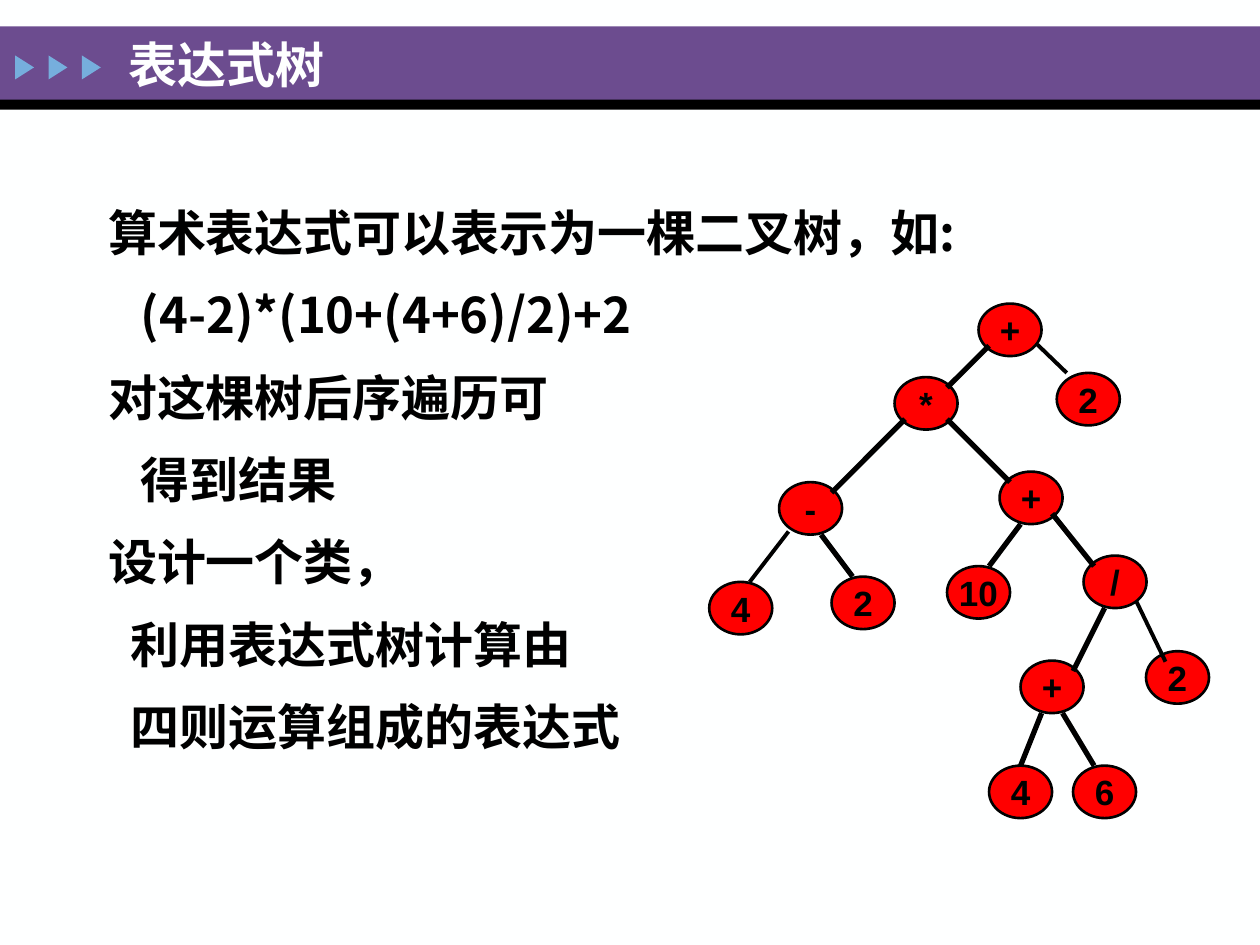
from pptx import Presentation
from pptx.dml.color import RGBColor
from pptx.enum.shapes import MSO_CONNECTOR, MSO_SHAPE
from pptx.enum.text import MSO_ANCHOR, PP_ALIGN
from pptx.oxml.ns import qn
from pptx.util import Inches, Pt
from lxml.etree import SubElement

PURPLE = RGBColor(0x6C, 0x4C, 0x8F)
BLUE = RGBColor(0x76, 0xAE, 0xDD)
RED = RGBColor(0xFF, 0x00, 0x00)
BLACK = RGBColor(0x00, 0x00, 0x00)
WHITE = RGBColor(0xFE, 0xFF, 0xFF)
CJK_FONT = "Noto Sans CJK SC"

BODY_LINES = [
    ("算术表达式可以表示为一棵二叉树，如:", 0.59),
    ("(4-2)*(10+(4+6)/2)+2", 0.85),
    ("对这棵树后序遍历可", 0.59),
    ("得到结果", 0.85),
    ("设计一个类，", 0.59),
    ("利用表达式树计算由", 0.77),
    ("四则运算组成的表达式", 0.77),
]
NODES = [
    ("+", 93, 29), ("*", 85, 36), ("+", 95, 45), ("/", 103, 53),
    ("2", 79, 55), ("10", 90, 54), ("+", 97, 63), ("6", 102, 73),
    ("4", 94, 73), ("-", 74, 46), ("4", 67.35, 55.5), ("2", 100.45, 35.6),
    ("2", 108.95, 62.1),
]
THICK_EDGES = [
    (94, 33, 90, 37), (86, 40, 79, 47), (90, 40, 96, 46),
    (100, 49, 104, 54), (97, 50, 94, 54), (78, 51, 81, 55),
    (105, 58, 102, 64), (99, 68, 97, 73), (101, 68, 104, 73),
]
THIN_EDGES = [
    (74.9, 50.7, 71.2, 55.5), (98.6, 32.9, 101.4, 35.6),
    (108, 57.3, 110.8, 63.1),
]


class TreeSlide:
    """Draw a titled slide with a tree on a grid of twelve cells to the inch."""

    def __init__(self, presentation):
        self.slide = presentation.slides.add_slide(presentation.slide_layouts[5])
        self.shapes = self.slide.shapes
        background = self.slide.background.fill
        background.solid()
        background.fore_color.rgb = WHITE

    def cell(self, column, row):
        """Return the position of a tree grid point."""
        return Inches((column + 0.2) / 12), Inches((row - 0.08) / 12)

    def add_run(self, paragraph, text, size, font, color):
        """Add one bold run with Latin and East Asian fonts."""
        run = paragraph.add_run()
        run.text = text
        run.font.size = Pt(size)
        run.font.bold = True
        run.font.color.rgb = color
        run.font.name = font
        SubElement(run._r.get_or_add_rPr(), qn("a:ea"), typeface=CJK_FONT)

    def add_filled(self, kind, left, top, width, height, color):
        """Add a flat preset shape without an outline."""
        shape = self.shapes.add_shape(kind, left, top, width, height)
        shape.shadow.inherit = False
        shape.fill.solid()
        shape.fill.fore_color.rgb = color
        shape.line.fill.background()
        return shape

    def add_header(self):
        """Add the title bar, its rule and its three arrows."""
        for top, height, color in ((0.21, 0.59, PURPLE), (0.79, 0.08, BLACK)):
            self.add_filled(MSO_SHAPE.RECTANGLE, 0, Inches(top), Inches(10),
                            Inches(height), color)
        for index in range(3):
            arrow = self.add_filled(
                MSO_SHAPE.ISOSCELES_TRIANGLE, Inches(0.1 + 0.265 * index),
                Inches(0.46), Inches(0.19), Inches(0.15), BLUE)
            arrow.rotation = 90

    def add_title(self, text):
        """Place the title placeholder over the bar."""
        title = self.shapes.title
        title.left, title.top = Inches(0.92), Inches(0.26)
        title.width, title.height = Inches(7), Inches(0.5)
        self.shapes._spTree.append(title._element)
        title.text_frame.vertical_anchor = MSO_ANCHOR.MIDDLE
        paragraph = title.text_frame.paragraphs[0]
        paragraph.alignment = PP_ALIGN.LEFT
        self.add_run(paragraph, text, 28, "Times New Roman", WHITE)

    def add_body(self, lines):
        """Add the text lines with their indents in inches."""
        box = self.shapes.add_textbox(Inches(0.17), Inches(1.37),
                                      Inches(8.5), Inches(5.32))
        frame = box.text_frame
        frame.word_wrap = True
        for index, (text, indent) in enumerate(lines):
            paragraph = frame.add_paragraph() if index else frame.paragraphs[0]
            paragraph.line_spacing = 1.4
            paragraph._p.get_or_add_pPr().set("marL", str(Inches(indent)))
            self.add_run(paragraph, text, 28, CJK_FONT, BLACK)

    def add_node(self, label, column, row):
        """Add one tree node six columns wide and five rows high."""
        left, top = self.cell(column, row)
        node = self.add_filled(MSO_SHAPE.OVAL, left, top, Inches(6 / 12),
                               Inches(5 / 12), RED)
        node.line.color.rgb = BLACK
        node.line.width = Pt(1.5)
        frame = node.text_frame
        frame.word_wrap = False
        frame.vertical_anchor = MSO_ANCHOR.MIDDLE
        paragraph = frame.paragraphs[0]
        paragraph.alignment = PP_ALIGN.CENTER
        self.add_run(paragraph, label, 20, "Arial", BLACK)

    def add_edge(self, start, end, width):
        """Add one straight tree edge."""
        edge = self.shapes.add_connector(
            MSO_CONNECTOR.STRAIGHT, *self.cell(*start), *self.cell(*end))
        edge.line.color.rgb = BLACK
        edge.line.width = Pt(width)
        SubElement(edge._element.spPr, qn("a:effectLst"))


def main():
    """Build and save the expression tree slide."""
    presentation = Presentation()
    presentation.slide_width, presentation.slide_height = Inches(10), Inches(7.5)
    tree = TreeSlide(presentation)
    tree.add_header()
    tree.add_title("表达式树")
    tree.add_body(BODY_LINES)
    for node in NODES:
        tree.add_node(*node)
    for edges, width in ((THICK_EDGES, 3), (THIN_EDGES, 2.25)):
        for edge in edges:
            tree.add_edge(edge[:2], edge[2:], width)
    presentation.save("out.pptx")


if __name__ == "__main__":
    main()
